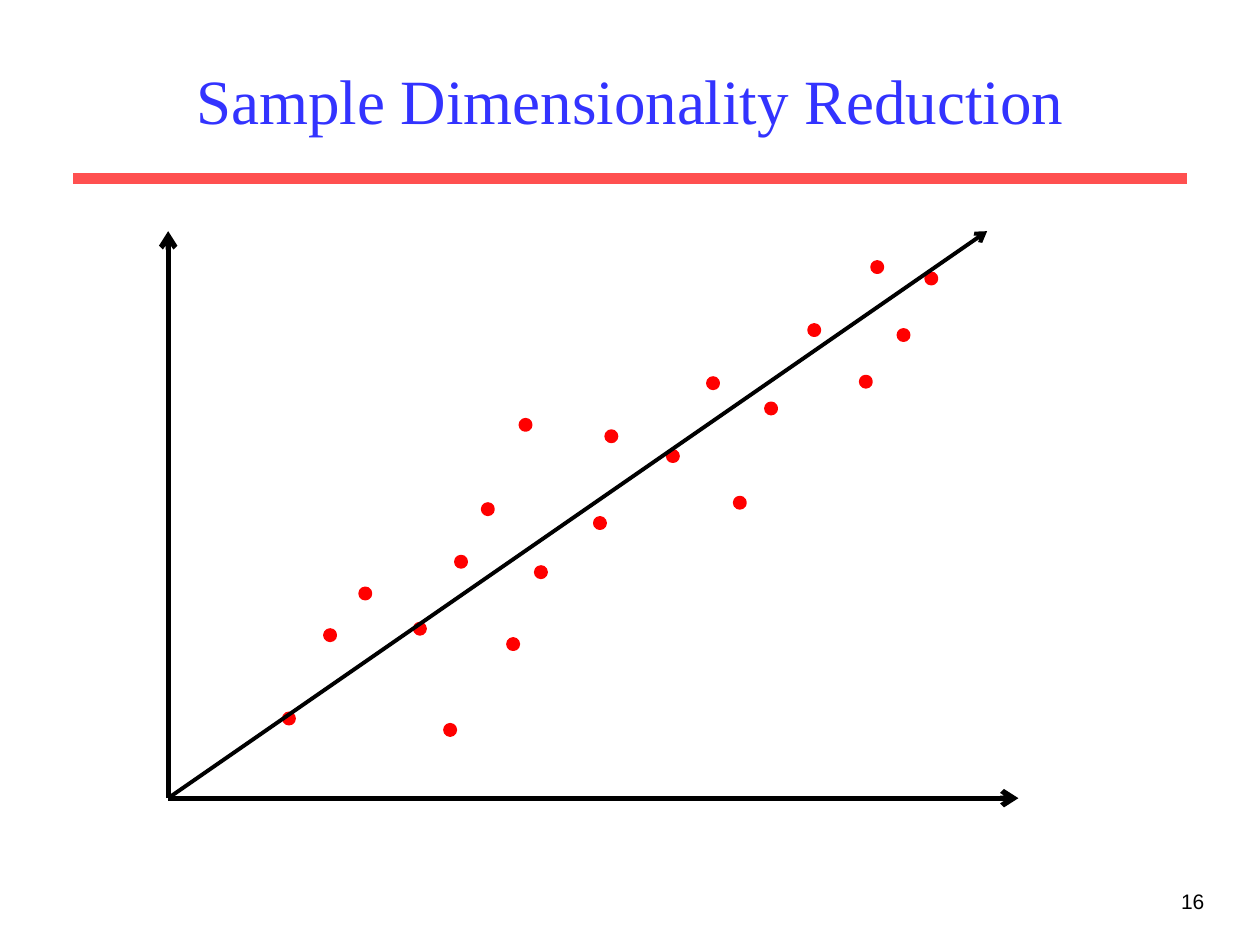
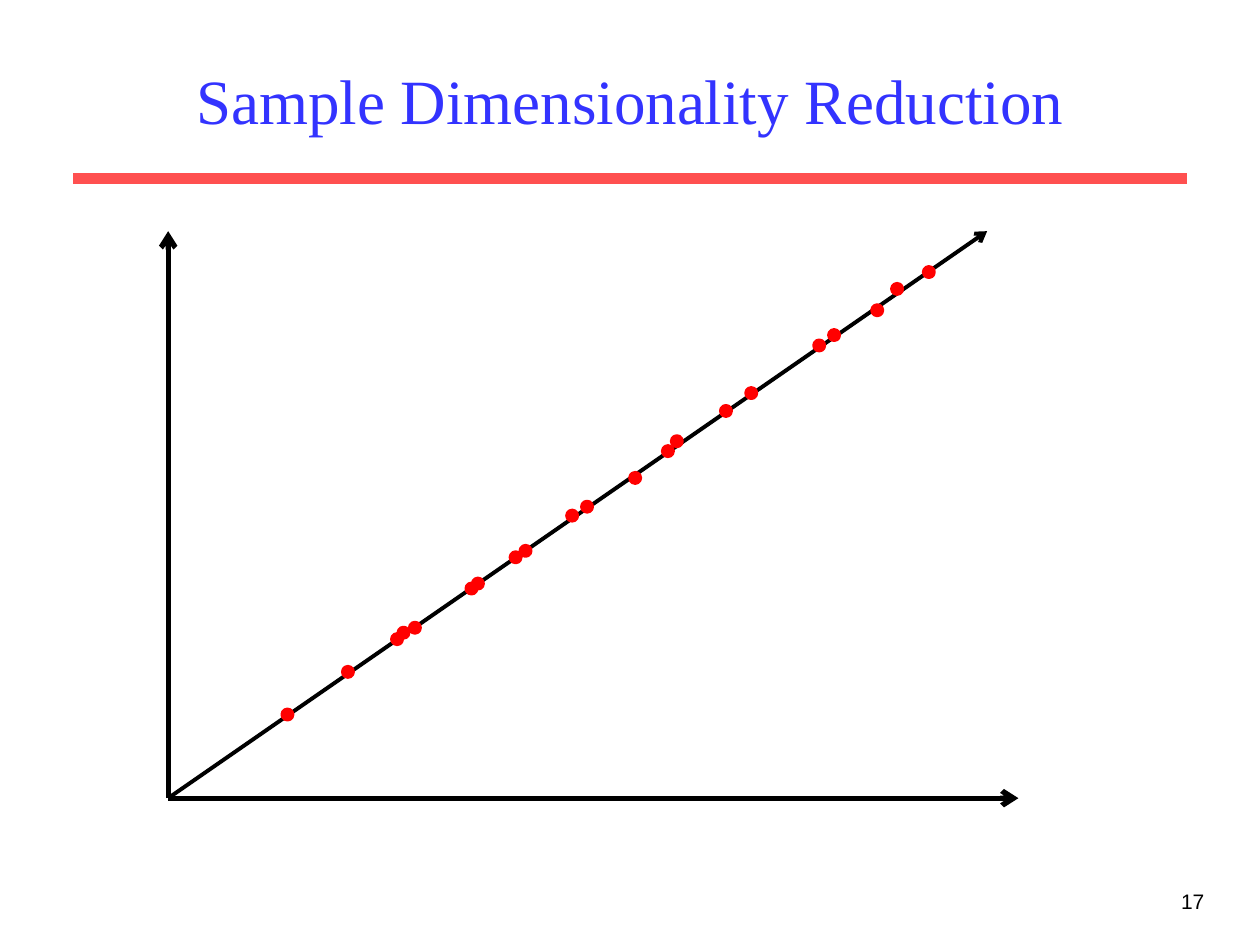
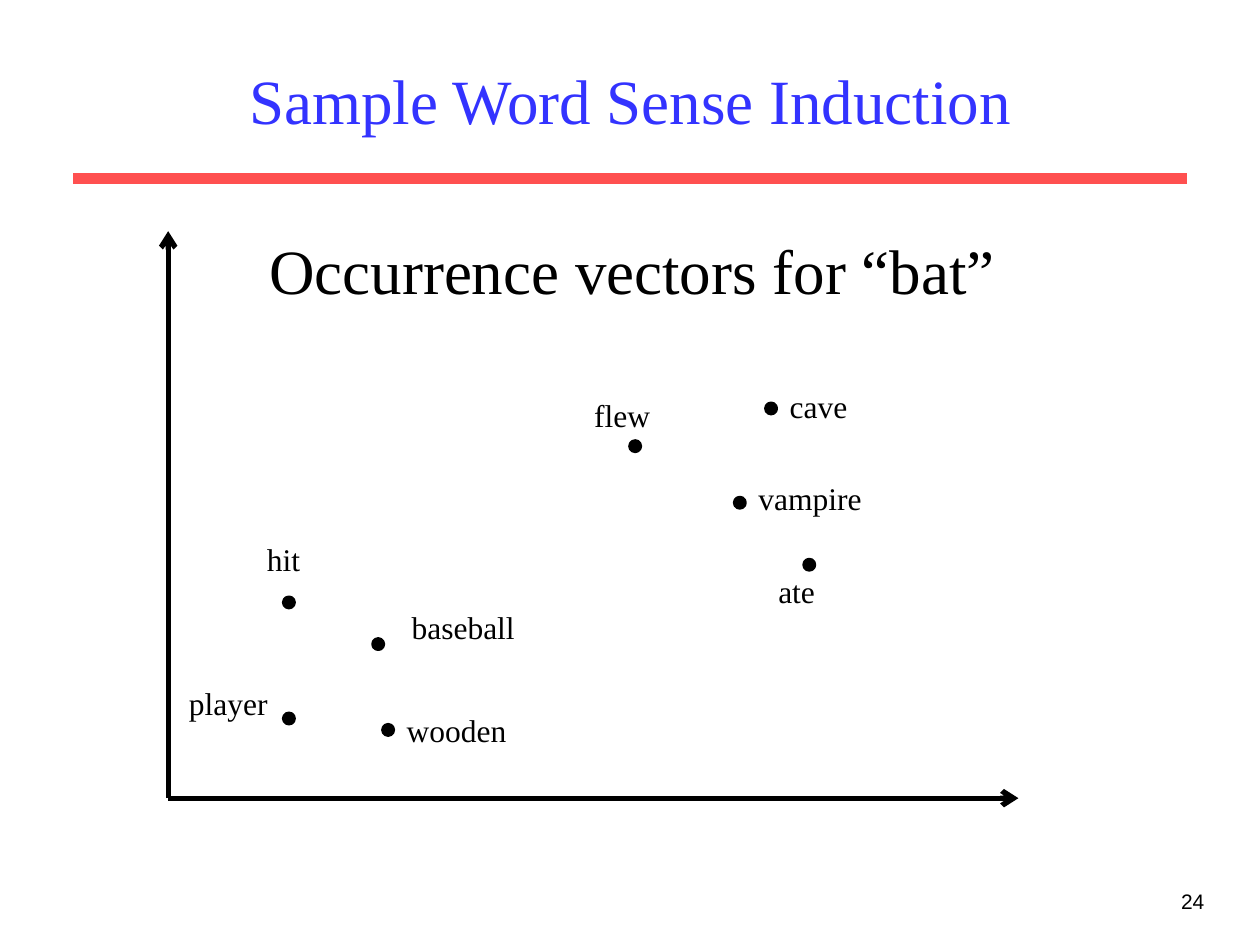
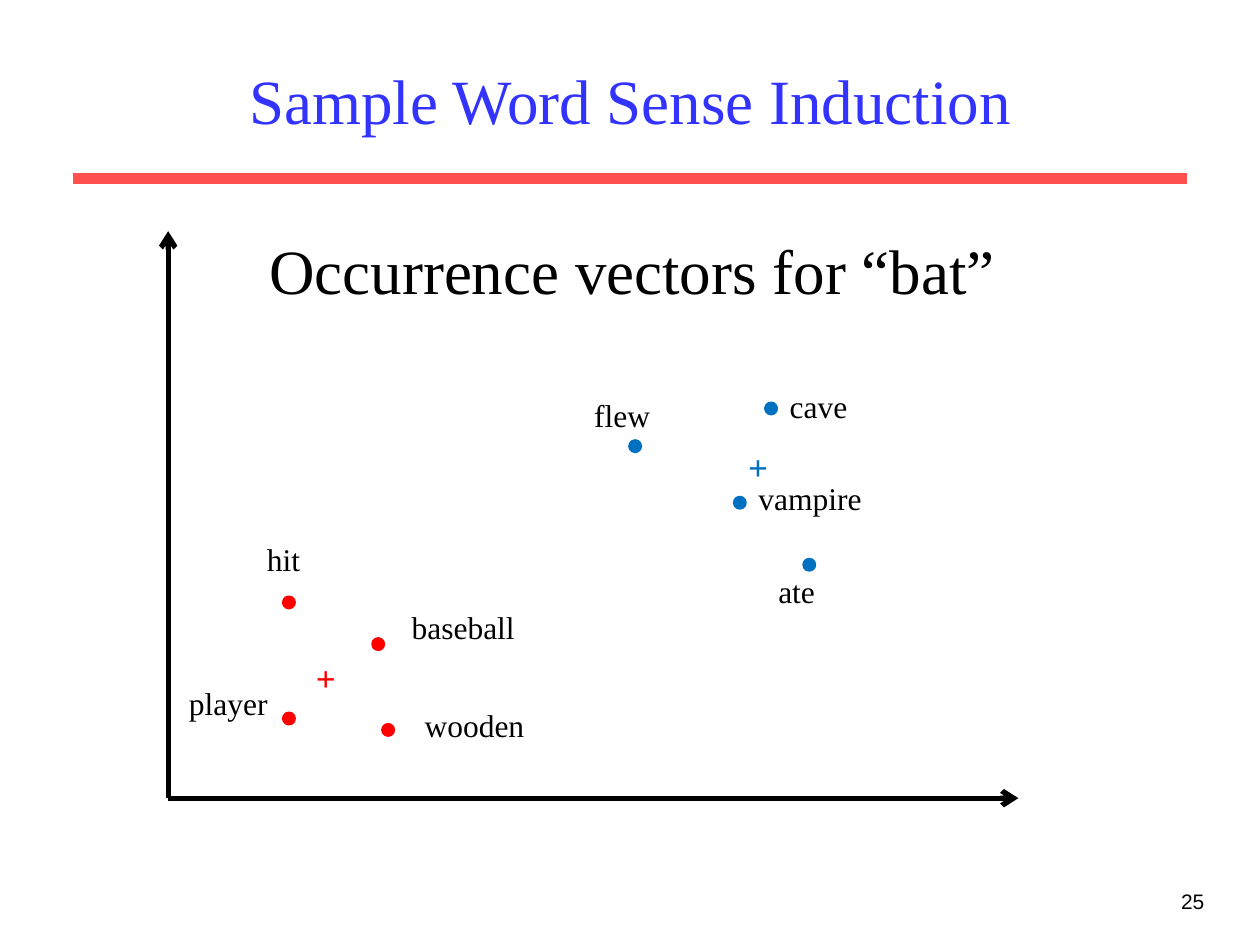
"""Build four slides on dimensionality reduction and word sense induction."""
from collections import namedtuple

from lxml import etree
from pptx import Presentation
from pptx.dml.color import RGBColor
from pptx.enum.shapes import MSO_CONNECTOR, MSO_SHAPE
from pptx.enum.text import MSO_ANCHOR, MSO_AUTO_SIZE, PP_ALIGN
from pptx.oxml.ns import qn
from pptx.util import Cm, Pt

STRAIGHT = MSO_CONNECTOR.STRAIGHT
OVAL = MSO_SHAPE.OVAL
TOP, MIDDLE = MSO_ANCHOR.TOP, MSO_ANCHOR.MIDDLE
LEFT, CENTER, RIGHT = PP_ALIGN.LEFT, PP_ALIGN.CENTER, PP_ALIGN.RIGHT
GROW, FIXED = MSO_AUTO_SIZE.SHAPE_TO_FIT_TEXT, MSO_AUTO_SIZE.NONE

BLACK = RGBColor(0x00, 0x00, 0x00)
RED = RGBColor(0xFF, 0x00, 0x00)
BLUE = RGBColor(0x00, 0x70, 0xC0)
TITLE_BLUE = RGBColor(0x33, 0x33, 0xFF)
RULE_RED = RGBColor(0xFF, 0x50, 0x50)
SERIF, SANS = "Times New Roman", "Arial"

TITLE_ONLY = 5
DOT_SIZE = 0.21
ORIGIN = (3.39, 16.09)
Y_AXIS_END = (3.39, 4.66)
X_AXIS_END = (20.53, 16.09)
COMPONENT_END = (19.9, 4.66)

SCATTERED = [
    (6.55, 12.7), (7.26, 11.86), (8.36, 12.57), (9.19, 11.22), (9.73, 10.16),
    (11.99, 10.44), (10.8, 11.43), (10.49, 8.46), (10.24, 12.88),
    (13.46, 9.09), (12.22, 8.69), (14.81, 10.03), (14.27, 7.62),
    (15.44, 8.13), (17.58, 5.28), (16.31, 6.55), (17.35, 7.59),
    (18.11, 6.65), (18.67, 5.51), (5.72, 14.38), (8.97, 14.61),
]
PROJECTED = [
    (6.91, 13.44), (8.03, 12.65), (8.26, 12.55), (9.4, 11.76), (10.29, 11.13),
    (11.73, 10.11), (10.49, 11), (11.43, 10.29), (9.53, 11.66),
    (13.36, 8.99), (12.7, 9.53), (13.54, 8.79), (14.53, 8.18),
    (15.04, 7.82), (17.98, 5.72), (16.41, 6.86), (16.71, 6.65),
    (17.58, 6.15), (18.62, 5.38), (5.69, 14.3), (7.9, 12.78),
]

Word = namedtuple("Word", "text dot label width")
SPORT_WORDS = [
    Word("hit", (5.72, 12.04), (5.13, 10.77), 2.92),
    Word("baseball", (7.52, 12.88), (8.05, 12.14), 2.92),
    Word("player", (5.72, 14.38), (3.56, 13.67), 2.16),
    Word("wooden", (7.72, 14.61), (7.95, 14.2), 3.28),
]
ANIMAL_WORDS = [
    Word("ate", (16.21, 11.28), (15.44, 11.4), 3.28),
    Word("vampire", (14.81, 10.03), (15.04, 9.53), 3.28),
    Word("cave", (15.44, 8.13), (15.67, 7.67), 3.28),
    Word("flew", (12.7, 8.89), (11.73, 7.85), 3.28),
]
SHIFTED_WOODEN = SPORT_WORDS[-1]._replace(label=(8.31, 14.1))
SPORT_CENTROID = (6.12, 13.11)
ANIMAL_CENTROID = (14.83, 8.86)


def write_text(shape, text, size=18, font=SERIF, color=BLACK, bold=False,
               align=LEFT, anchor=TOP, wrap=True, fit=GROW):
    """Fill a shape with one formatted paragraph."""
    frame = shape.text_frame
    frame.word_wrap = wrap
    frame.auto_size = fit
    frame.vertical_anchor = anchor
    paragraph = frame.paragraphs[0]
    paragraph.alignment = align
    run = paragraph.add_run()
    run.text = text
    run.font.size = Pt(size)
    run.font.name = font
    run.font.bold = bold
    run.font.color.rgb = color


def add_text(slide, text, position, width, height, **text_format):
    """Add a text box whose top left corner is at position."""
    left, top = position
    box = slide.shapes.add_textbox(Cm(left), Cm(top), Cm(width), Cm(height))
    write_text(box, text, **text_format)


def add_line(slide, start, end, color=BLACK, width=3, arrow=True):
    """Add a straight line, with an arrowhead at its end by default."""
    connector = slide.shapes.add_connector(
        STRAIGHT, *(Cm(value) for value in start + end))
    connector.line.color.rgb = color
    connector.line.width = Pt(width)
    if arrow:
        etree.SubElement(connector.line._get_or_add_ln(), qn("a:tailEnd"), type="arrow")
    etree.SubElement(connector.element.spPr, qn("a:effectLst"))
    return connector


def add_dots(slide, positions, color):
    """Add one small filled circle per position."""
    for left, top in positions:
        dot = slide.shapes.add_shape(
            OVAL, Cm(left), Cm(top), Cm(DOT_SIZE), Cm(DOT_SIZE))
        dot.shadow.inherit = False
        dot.fill.solid()
        dot.fill.fore_color.rgb = color
        dot.line.color.rgb = color
        dot.line.width = Pt(2)


def add_words(slide, words, color):
    """Add the dots of a group of words and their labels."""
    add_dots(slide, [word.dot for word in words], color)
    for word in words:
        add_text(slide, word.text, word.label, word.width, 1.02)


def add_component(slide):
    """Add the arrow of the principal component."""
    add_line(slide, ORIGIN, COMPONENT_END, width=2.25)


def add_centroid(slide, position, color):
    """Add the plus sign at the centre of a cluster."""
    add_text(slide, "+", position, 0.91, 1.12, size=20, color=color,
             bold=True, wrap=False)


def add_plot_slide(presentation, title_text, number):
    """Add a slide with its title, number and pair of axes."""
    slide = presentation.slides.add_slide(presentation.slide_layouts[TITLE_ONLY])
    title = slide.shapes.title
    title.left, title.top = Cm(1.91), Cm(0.64)
    title.width, title.height = Cm(21.59), Cm(2.74)
    write_text(title, title_text, size=36, color=TITLE_BLUE, align=CENTER,
               anchor=MIDDLE, fit=FIXED)
    add_text(slide, str(number), (19.25, 17.78), 5.28, 1.27, size=12,
             font=SANS, align=RIGHT, fit=FIXED)
    for end in (Y_AXIS_END, X_AXIS_END):
        add_line(slide, ORIGIN, end)
    return slide


def add_reduction_slide(presentation, number):
    """Add a slide on dimensionality reduction."""
    return add_plot_slide(presentation, "Sample Dimensionality Reduction", number)


def add_induction_slide(presentation, number, sport_words, sport_color, animal_color):
    """Add a slide with the occurrence vectors of both senses."""
    slide = add_plot_slide(presentation, "Sample Word Sense Induction", number)
    add_text(slide, "Occurrence vectors for “bat”", (5.18, 4.55), 15.44, 1.8, size=36)
    add_words(slide, sport_words, sport_color)
    add_words(slide, ANIMAL_WORDS, animal_color)
    return slide


def move_rule_to_layout(presentation, slide):
    """Draw the rule below the title and share it through the layout."""
    rule = add_line(slide, (1.48, 3.6), (23.92, 3.6), color=RULE_RED, width=6, arrow=False)
    presentation.slide_layouts[TITLE_ONLY].shapes.element.append(rule.element)


def main():
    """Build and save the presentation."""
    presentation = Presentation()
    presentation.slide_width, presentation.slide_height = Cm(25.4), Cm(19.05)

    scatter = add_reduction_slide(presentation, 16)
    move_rule_to_layout(presentation, scatter)
    add_dots(scatter, SCATTERED, RED)
    add_component(scatter)

    projection = add_reduction_slide(presentation, 17)
    add_component(projection)
    add_dots(projection, PROJECTED, RED)

    add_induction_slide(presentation, 24, SPORT_WORDS, BLACK, BLACK)

    clusters = add_induction_slide(
        presentation, 25, SPORT_WORDS[:-1] + [SHIFTED_WOODEN], RED, BLUE)
    add_centroid(clusters, SPORT_CENTROID, RED)
    add_centroid(clusters, ANIMAL_CENTROID, BLUE)

    presentation.save("out.pptx")


if __name__ == "__main__":
    main()
